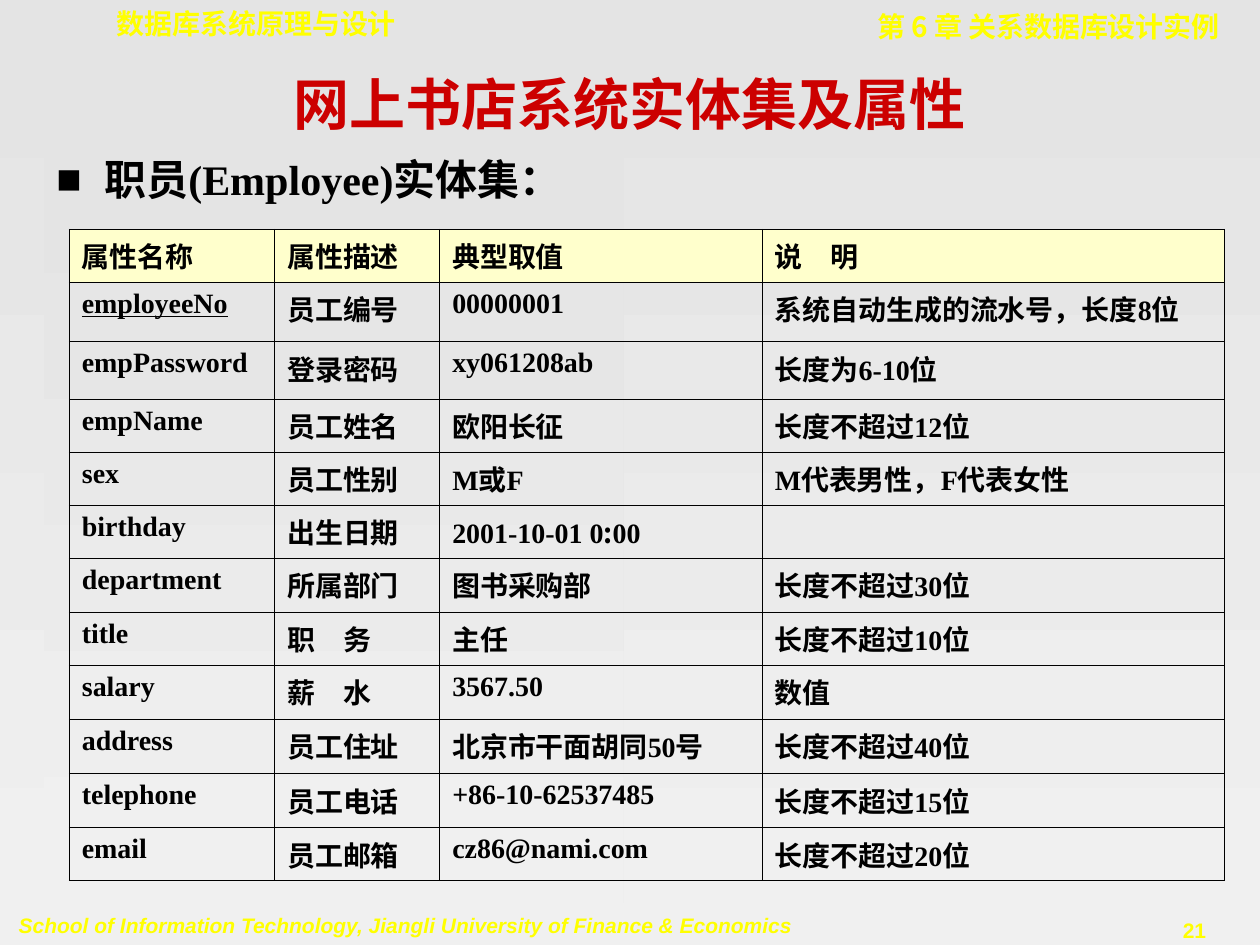
from lxml import etree
from pptx import Presentation
from pptx.dml.color import RGBColor
from pptx.enum.shapes import MSO_SHAPE as Shape
from pptx.enum.text import MSO_ANCHOR as Anchor, PP_ALIGN as Align
from pptx.oxml.ns import qn
from pptx.util import Inches, Pt

SERIF, SANS, MONO = "Times New Roman", "Arial", "DejaVu Sans Mono"
HAN = "Noto Sans CJK SC"
BLACK, RED, YELLOW, CREAM = "000000", "CC0000", "FFFF00", "FFFFCC"

COLS = [1.63, 1.31, 2.56, 3.67]
ROWS = [0.42, 0.47, 0.46, 0.42, 0.42, 0.42, 0.43, 0.42, 0.43, 0.43, 0.43, 0.42]
DATA = [
    ["属性名称", "属性描述", "典型取值", "说　明"],
    ["employeeNo", "员工编号", "00000001", "系统自动生成的流水号，长度8位"],
    ["empPassword", "登录密码", "xy061208ab", "长度为6-10位"],
    ["empName", "员工姓名", "欧阳长征", "长度不超过12位"],
    ["sex", "员工性别", "M或F", "M代表男性，F代表女性"],
    ["birthday", "出生日期", "2001-10-01 0:00", ""],
    ["department", "所属部门", "图书采购部", "长度不超过30位"],
    ["title", "职　务", "主任", "长度不超过10位"],
    ["salary", "薪　水", "3567.50", "数值"],
    ["address", "员工住址", "北京市干面胡同50号", "长度不超过40位"],
    ["telephone", "员工电话", "+86-10-62537485", "长度不超过15位"],
    ["email", "员工邮箱", "cz86@nami.com", "长度不超过20位"],
]


def rgb(code):
    return RGBColor.from_string(code)


def shade(fill):
    """Grey gradient running from top to bottom."""
    fill.gradient()
    fill.gradient_angle = 270
    for stop, code in zip(fill.gradient_stops, ("E4E4E4", "F0F0F0")):
        stop.color.rgb = rgb(code)


def style(run, size, color, face=SERIF):
    font = run.font
    font.size, font.bold, font.name = Pt(size), True, face
    font.color.rgb = rgb(color)
    etree.SubElement(font._element, qn("a:ea"), typeface=HAN)


def hang(para):
    """Hanging indent shared by the bullet and the table cells."""
    props = para._p.get_or_add_pPr()
    props.set("marL", str(Inches(0.38)))
    props.set("indent", str(-Inches(0.38)))
    return props


def add_text(slide, box, text, size, color, face=SERIF, align=Align.LEFT,
             before=0):
    shape = slide.shapes.add_textbox(*map(Inches, box))
    frame = shape.text_frame
    frame.text, frame.word_wrap = text, True
    para = frame.paragraphs[0]
    para.alignment, para.space_before = align, Pt(before)
    style(para.runs[0], size, color, face)
    return shape


def add_body(slide, box, text):
    shape = slide.shapes.add_shape(Shape.RECTANGLE, *map(Inches, box))
    shape.shadow.inherit = False
    shape.line.fill.background()
    shade(shape.fill)
    frame = shape.text_frame
    frame.text, frame.word_wrap = text, True
    frame.vertical_anchor = Anchor.TOP
    para = frame.paragraphs[0]
    para.alignment, para.space_before = Align.LEFT, Pt(6)
    style(para.runs[0], 24, BLACK)
    props = hang(para)
    tint = etree.SubElement(props, qn("a:buClr"))
    etree.SubElement(tint, qn("a:srgbClr"), val=BLACK)
    etree.SubElement(props, qn("a:buFont"), typeface=SANS)
    etree.SubElement(props, qn("a:buChar"), char="■")


def add_edges(cell):
    props = cell._tc.get_or_add_tcPr()
    for spot, side in enumerate(("lnL", "lnR", "lnT", "lnB")):
        line = etree.Element(qn("a:" + side), w=str(Pt(0.45)))
        solid = etree.SubElement(line, qn("a:solidFill"))
        etree.SubElement(solid, qn("a:srgbClr"), val=BLACK)
        props.insert(spot, line)


def fill_cell(cell, text, head):
    if head:
        cell.fill.solid()
        cell.fill.fore_color.rgb = rgb(CREAM)
    else:
        cell.fill.background()
    add_edges(cell)
    para = cell.text_frame.paragraphs[0]
    hang(para)
    # A colon takes the Han face
    for part in filter(None, text.partition(":")):
        run = para.add_run()
        run.text = part
        style(run, 16, BLACK, HAN if part == ":" else SERIF)


def add_grid(slide, left, top):
    frame = slide.shapes.add_table(len(ROWS), len(COLS), Inches(left), Inches(top),
                                   Inches(sum(COLS)), Inches(sum(ROWS)))
    table = frame.table
    table.first_row = table.horz_banding = False
    for col, width in zip(table.columns, COLS):
        col.width = Inches(width)
    for row, height, texts in zip(table.rows, ROWS, DATA):
        row.height = Inches(height)
        for cell, text in zip(row.cells, texts):
            fill_cell(cell, text, texts is DATA[0])
    # The key attribute is underlined
    table.cell(1, 0).text_frame.paragraphs[0].runs[0].font.underline = True


def main():
    deck = Presentation()
    deck.slide_width, deck.slide_height = Inches(10), Inches(7.5)
    slide = deck.slides.add_slide(deck.slide_layouts[6])
    shade(slide.background.fill)

    # Footer and header
    add_text(slide, (8.98, 7.23, 1, 0.3), "21", 12, YELLOW, SANS,
             Align.CENTER, 7.5)
    school = add_text(
        slide, (0.05, 7.19, 6.6, 0.3),
        "School of Information Technology, Jiangli University of Finance & Economics",
        12, YELLOW, SANS, before=7.5)
    school.text_frame.paragraphs[0].runs[0].font.italic = True
    add_text(slide, (0.83, 0, 3.66, 0.37), "数据库系统原理与设计", 16, YELLOW,
             MONO, before=10)
    add_text(slide, (5.43, 0.03, 4.35, 0.37), "第 6 章 关系数据库设计实例", 16,
             YELLOW, HAN, Align.RIGHT, 10)

    # Title and topic
    title = add_text(slide, (0.75, 0.48, 8.5, 0.67), "网上书店系统实体集及属性",
                     32, RED, align=Align.CENTER)
    title.text_frame.vertical_anchor = Anchor.MIDDLE
    add_body(slide, (0.35, 1.17, 4.6, 6), "职员(Employee)实体集：")

    # Attribute table
    add_grid(slide, 0.55, 1.82)
    deck.save("out.pptx")


if __name__ == "__main__":
    main()
